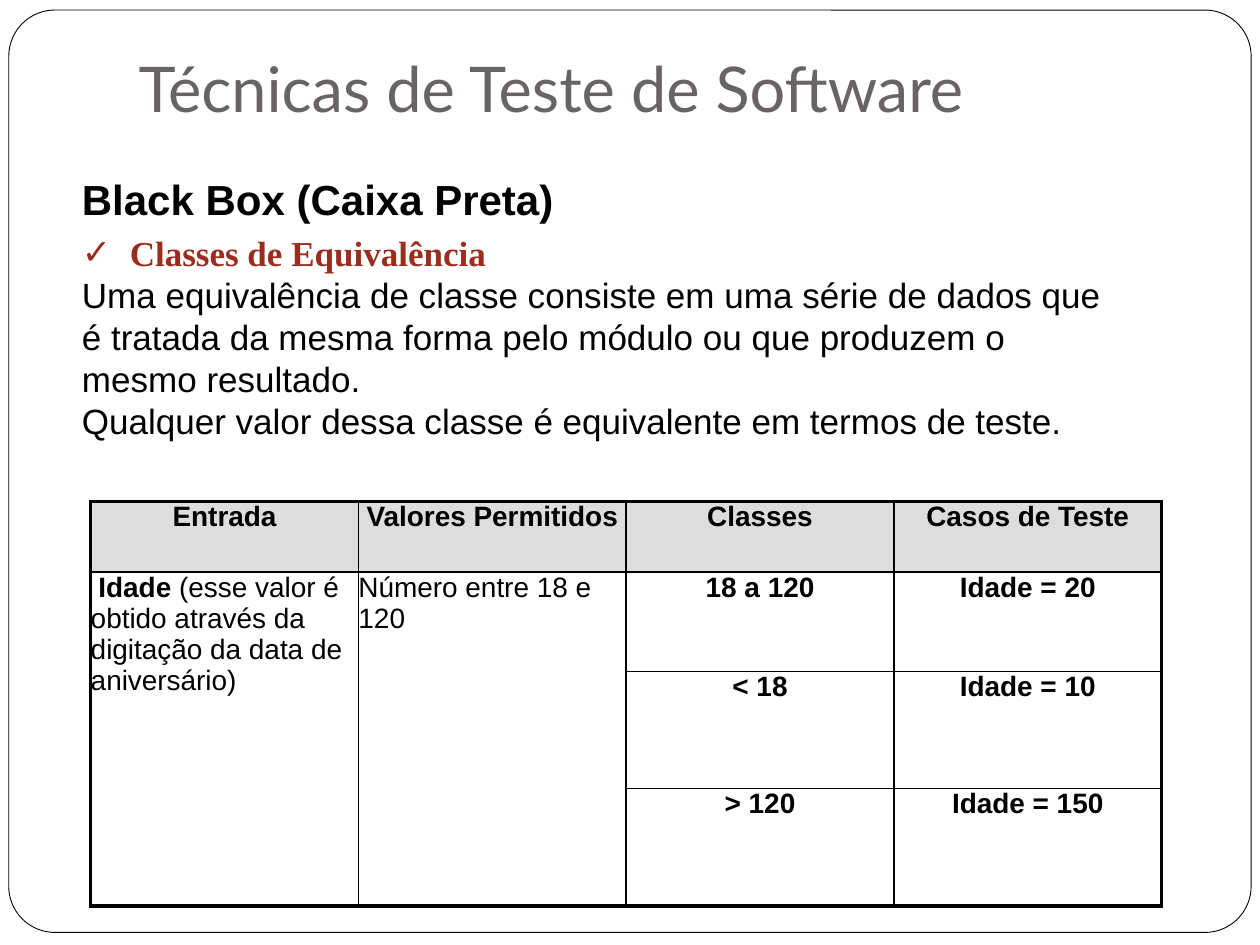
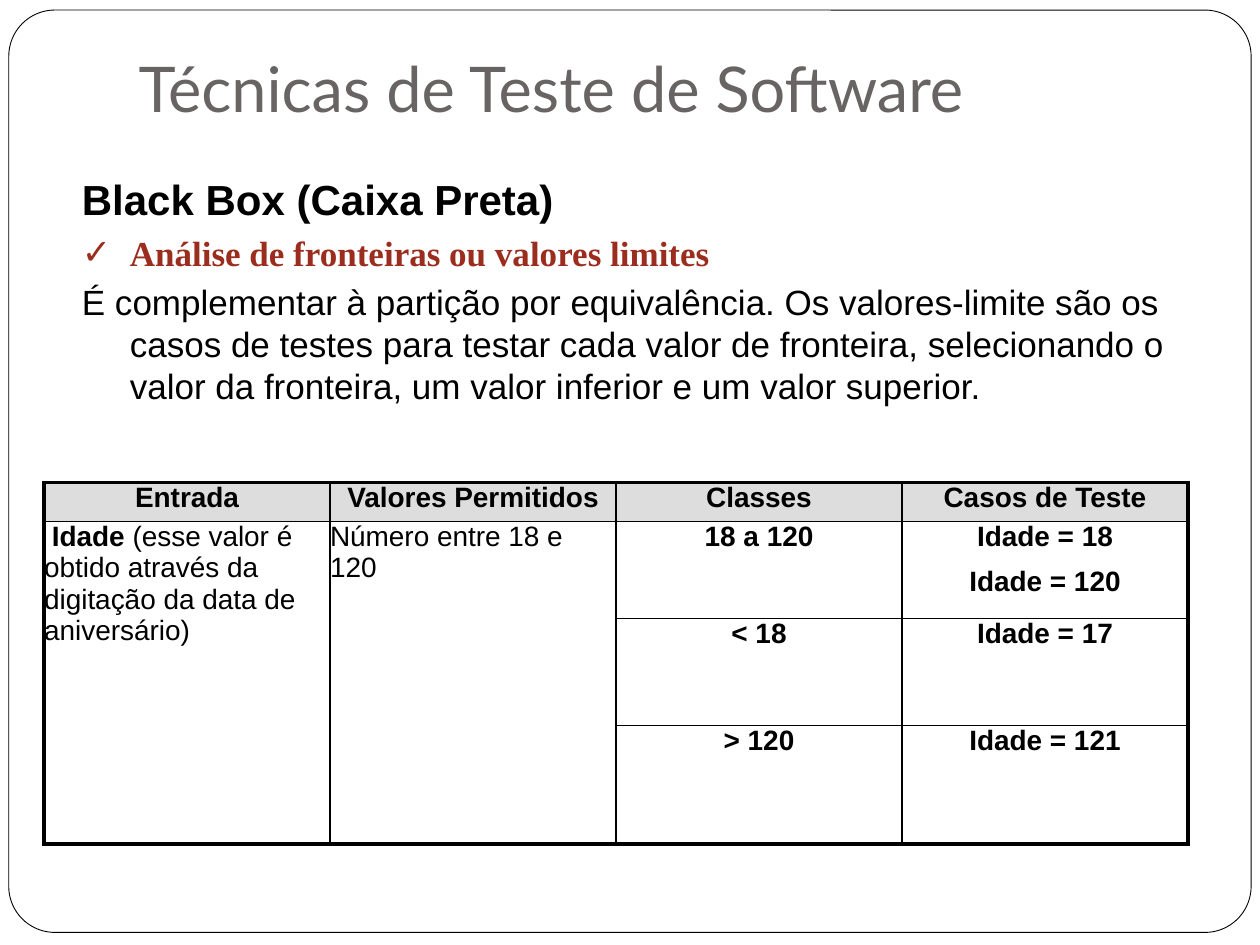
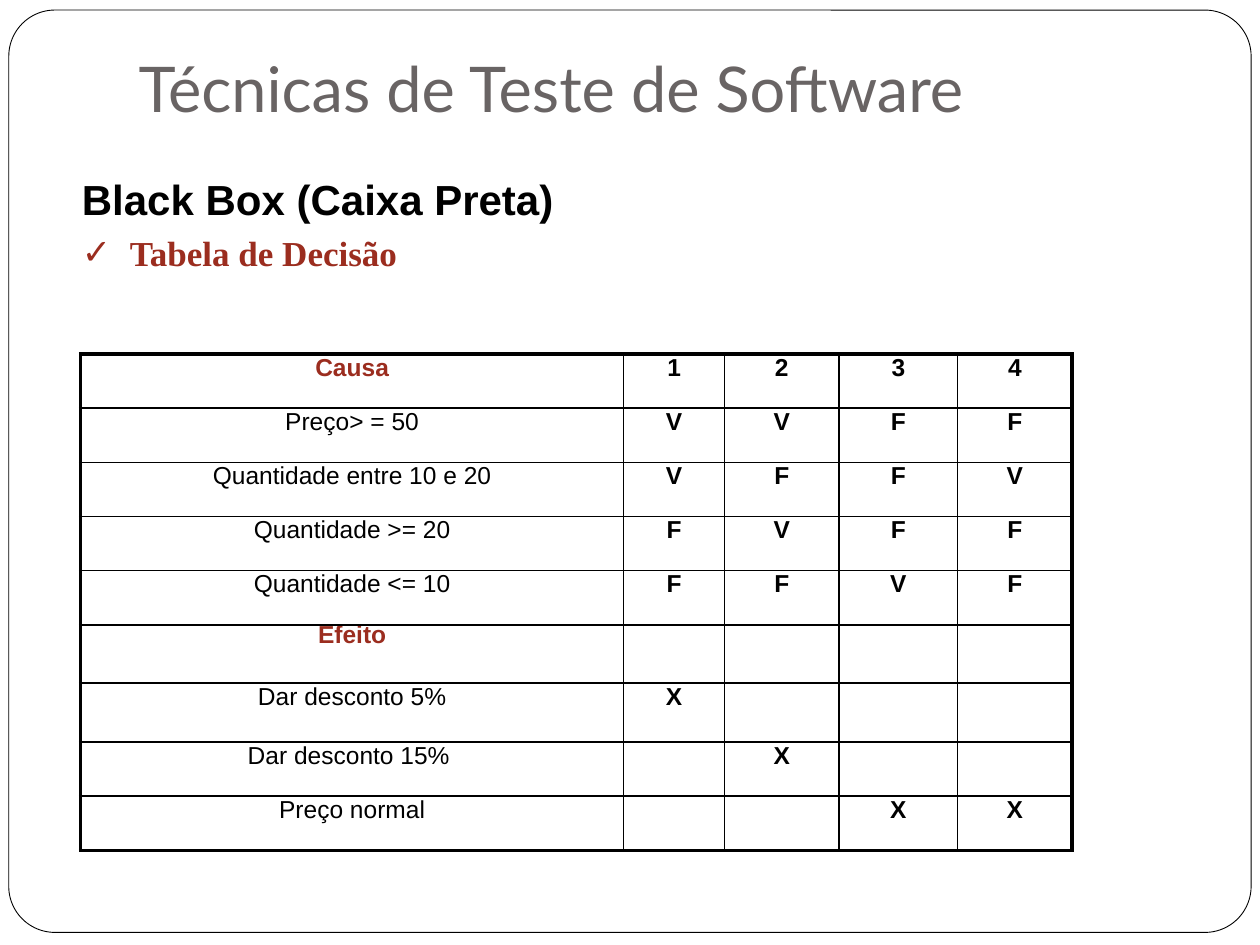
from lxml.etree import SubElement
from pptx import Presentation
from pptx.dml.color import RGBColor
from pptx.enum.shapes import MSO_SHAPE
from pptx.enum.text import MSO_ANCHOR, MSO_AUTO_SIZE, PP_ALIGN
from pptx.oxml import parse_xml
from pptx.oxml.ns import nsdecls, qn
from pptx.util import Inches, Pt

BLACK = RGBColor(0x00, 0x00, 0x00)
WHITE = RGBColor(0xFF, 0xFF, 0xFF)
GRAY = RGBColor(0x69, 0x64, 0x64)
RUST = RGBColor(0x9B, 0x2D, 0x1F)
HEADER_GRAY = RGBColor(0xDD, 0xDD, 0xDD)
BODY_FONT = "Arial"
TOPIC_FONT = "Times New Roman"
TITLE_FONT = "Lato"
HANGING = 0.38
OUTER_LINE, INNER_LINE = 2.25, 1
AGE_HEADERS = ["Entrada", "Valores Permitidos", "Classes", "Casos de Teste"]
AGE_CLASSES = ["18 a 120", "< 18", "> 120"]
SECTION_LABELS = ("Causa", "Efeito")


def place(shape, left, top, width, height):
    shape.left, shape.top = Inches(left), Inches(top)
    shape.width, shape.height = Inches(width), Inches(height)


def style_font(font, name, size, color, bold=False):
    font.name = name
    font.size = Pt(size)
    font.color.rgb = color
    font.bold = bold


def add_frame(slide, layout):
    frame = slide.shapes.add_shape(
        MSO_SHAPE.ROUNDED_RECTANGLE, Inches(0.07), Inches(0.08), Inches(9.86), Inches(7.32))
    frame.adjustments[0] = 0.05
    frame.shadow.inherit = False
    frame.fill.solid()
    frame.fill.fore_color.rgb = WHITE
    frame.line.color.rgb = BLACK
    frame.line.width = Pt(0.5)
    layout.shapes._spTree.insert(2, frame._element)


def add_title(slide):
    title = slide.shapes.title
    place(title, 1, 0.3, 8.5, 0.79)
    frame = title.text_frame
    frame.text = "Técnicas de Teste de Software"
    frame.auto_size = MSO_AUTO_SIZE.NONE
    frame.vertical_anchor = MSO_ANCHOR.BOTTOM
    frame.margin_bottom = Inches(0.1)
    heading = frame.paragraphs[0]
    heading.alignment = PP_ALIGN.LEFT
    style_font(heading.font, TITLE_FONT, 36, GRAY)


def set_bullet(paragraph, hanging=0, bullet=None):
    properties = paragraph._p.get_or_add_pPr()
    properties.set("marL", str(Inches(hanging)))
    properties.set("indent", str(-Inches(hanging)))
    if bullet:
        SubElement(properties, qn("a:buChar")).set("char", bullet)
    else:
        SubElement(properties, qn("a:buNone"))


def add_body(slide, width, height, topic, explanations=(), hanging=0):
    body = slide.placeholders[1]
    place(body, 0.55, 1.33, width, height)
    frame = body.text_frame
    frame.text = "\n".join(["Black Box (Caixa Preta)", topic, *explanations])
    frame.auto_size = MSO_AUTO_SIZE.NONE
    subject, subtopic, *details = frame.paragraphs

    set_bullet(subject)
    subject.space_before = Pt(0)
    style_font(subject.font, BODY_FONT, 24, BLACK, True)

    set_bullet(subtopic, HANGING, "✓")
    subtopic.space_before = Pt(4)
    style_font(subtopic.font, TOPIC_FONT, 20, RUST, True)

    for detail in details:
        set_bullet(detail, hanging)
        detail.space_before = Pt(4 if hanging else 0)
        style_font(detail.font, BODY_FONT, 20, BLACK)


def set_borders(cell, **widths):
    properties = cell._tc.get_or_add_tcPr()
    for index, side in enumerate("LRTB"):
        properties.insert(index, parse_xml(
            f'<a:ln{side} {nsdecls("a")} w="{Pt(widths[side])}"><a:solidFill>'
            f'<a:srgbClr val="{BLACK}"/></a:solidFill></a:ln{side}>'))


def write_cell(cell, text, size, bold=True, color=BLACK, align=PP_ALIGN.CENTER):
    cell.text = text
    for index, paragraph in enumerate(cell.text_frame.paragraphs):
        paragraph.alignment = align
        paragraph.space_before = Pt(size / 2 if index else 0)
        style_font(paragraph.font, BODY_FONT, size, color, bold)


def add_grid(slide, left, top, widths, heights):
    grid = slide.shapes.add_table(
        len(heights), len(widths), Inches(left), Inches(top),
        Inches(sum(widths)), Inches(sum(heights))).table
    grid.first_row = grid.horz_banding = False
    for column, width in zip(grid.columns, widths):
        column.width = Inches(width)
    for row, height in zip(grid.rows, heights):
        row.height = Inches(height)
    return grid


def finish_grid(grid, header_fill=None):
    def line(is_outer):
        return OUTER_LINE if is_outer else INNER_LINE

    last_row, last_column = len(grid.rows), len(grid.columns)
    for r in range(last_row):
        for c in range(last_column):
            cell = grid.cell(r, c)
            cell.margin_left = cell.margin_right = 0
            cell.margin_top = cell.margin_bottom = 0
            if header_fill and r == 0:
                cell.fill.solid()
                cell.fill.fore_color.rgb = header_fill
            else:
                cell.fill.background()
            set_borders(cell, L=line(c == 0), R=line(c + 1 == last_column), T=line(r == 0),
                        B=line(r + cell.span_height == last_row))


def add_age_table(slide, left, top, width, heights, cases):
    grid = add_grid(slide, left, top, [width / 4] * 4, heights)
    for c, header in enumerate(AGE_HEADERS):
        write_cell(grid.cell(0, c), header, 16)
    for r, (age_class, case) in enumerate(zip(AGE_CLASSES, cases), start=1):
        write_cell(grid.cell(r, 2), age_class, 16)
        write_cell(grid.cell(r, 3), case, 16)
    for c in (0, 1):
        grid.cell(1, c).merge(grid.cell(3, c))

    entry = grid.cell(1, 0)
    write_cell(entry, " Idade", 16, False, align=PP_ALIGN.LEFT)
    entry_line = entry.text_frame.paragraphs[0]
    entry_line.runs[0].font.bold = True
    entry_line.add_run().text = " (esse valor é obtido através da digitação da data de aniversário)"
    write_cell(grid.cell(1, 1), "Número entre 18 e 120", 16, False, align=PP_ALIGN.LEFT)
    finish_grid(grid, HEADER_GRAY)


def add_decision_table(slide, left, top, rules):
    grid = add_grid(slide, left, top, [4.31, 0.8, 0.91, 0.94, 0.91],
                    [0.43] * 5 + [0.46, 0.47, 0.43, 0.43])
    for r, (label, marks) in enumerate(rules):
        is_section = label in SECTION_LABELS
        write_cell(grid.cell(r, 0), label, 14, is_section, RUST if is_section else BLACK)
        if label == "Efeito":
            grid.cell(r, 0).text_frame.paragraphs[0].line_spacing = 0.85
        for c, mark in enumerate(marks, start=1):
            write_cell(grid.cell(r, c), mark.strip(), 14)
    finish_grid(grid)


def add_content_slide(deck, layout):
    slide = deck.slides.add_slide(layout)
    add_title(slide)
    return slide


def main():
    deck = Presentation()
    deck.slide_width, deck.slide_height = Inches(10), Inches(7.5)
    layout = deck.slide_layouts[1]

    equivalence = add_content_slide(deck, layout)
    add_frame(equivalence, layout)
    add_body(equivalence, 8.44, 2.26, "Classes de Equivalência", [
        "Uma equivalência de classe consiste em uma série de dados que é tratada da mesma "
        "forma pelo módulo ou que produzem o mesmo resultado.",
        "Qualquer valor dessa classe é equivalente em termos de teste."])
    add_age_table(equivalence, 0.72, 3.98, 8.5, [0.56, 0.79, 0.93, 0.93],
                  ["Idade = 20", "Idade = 10", "Idade = 150"])

    boundaries = add_content_slide(deck, layout)
    add_body(boundaries, 8.83, 1.99, "Análise de fronteiras ou valores limites", [
        "É complementar à partição por equivalência. Os valores-limite são os casos de testes "
        "para testar cada valor de fronteira, selecionando o valor da fronteira, um valor "
        "inferior e um valor superior."], HANGING)
    add_age_table(boundaries, 0.35, 3.83, 9.08, [0.31, 0.77, 0.85, 0.94],
                  ["Idade = 18\nIdade = 120", "Idade = 17", "Idade = 121"])

    decisions = add_content_slide(deck, layout)
    add_body(decisions, 8.83, 0.91, "Tabela de Decisão")
    add_decision_table(decisions, 0.64, 2.81, [
        ("Causa", "1234"),
        ("Preço> = 50", "VVFF"),
        ("Quantidade entre 10 e 20", "VFFV"),
        ("Quantidade >= 20", "FVFF"),
        ("Quantidade <= 10", "FFVF"),
        ("Efeito", ""),
        ("Dar desconto 5%", "X"),
        ("Dar desconto 15% ", " X"),
        ("Preço normal", "  XX")])

    deck.save("out.pptx")


if __name__ == "__main__":
    main()
